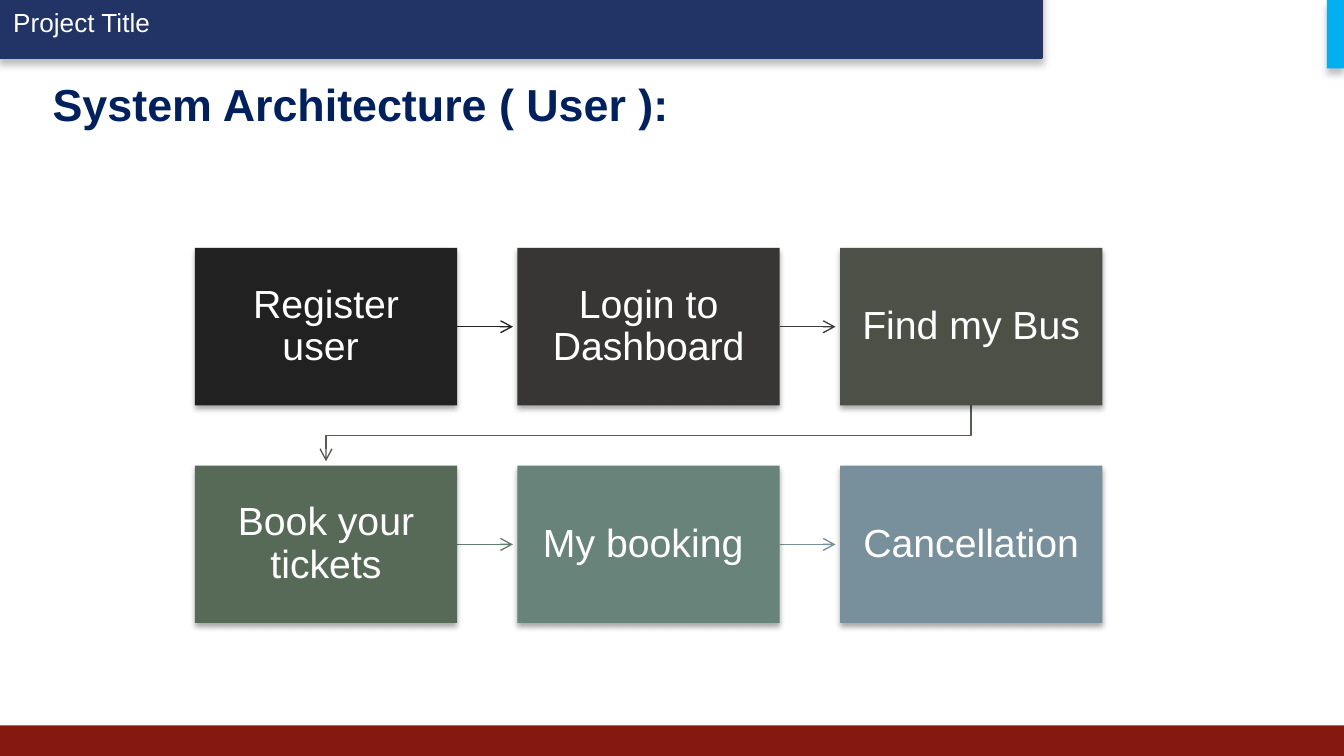
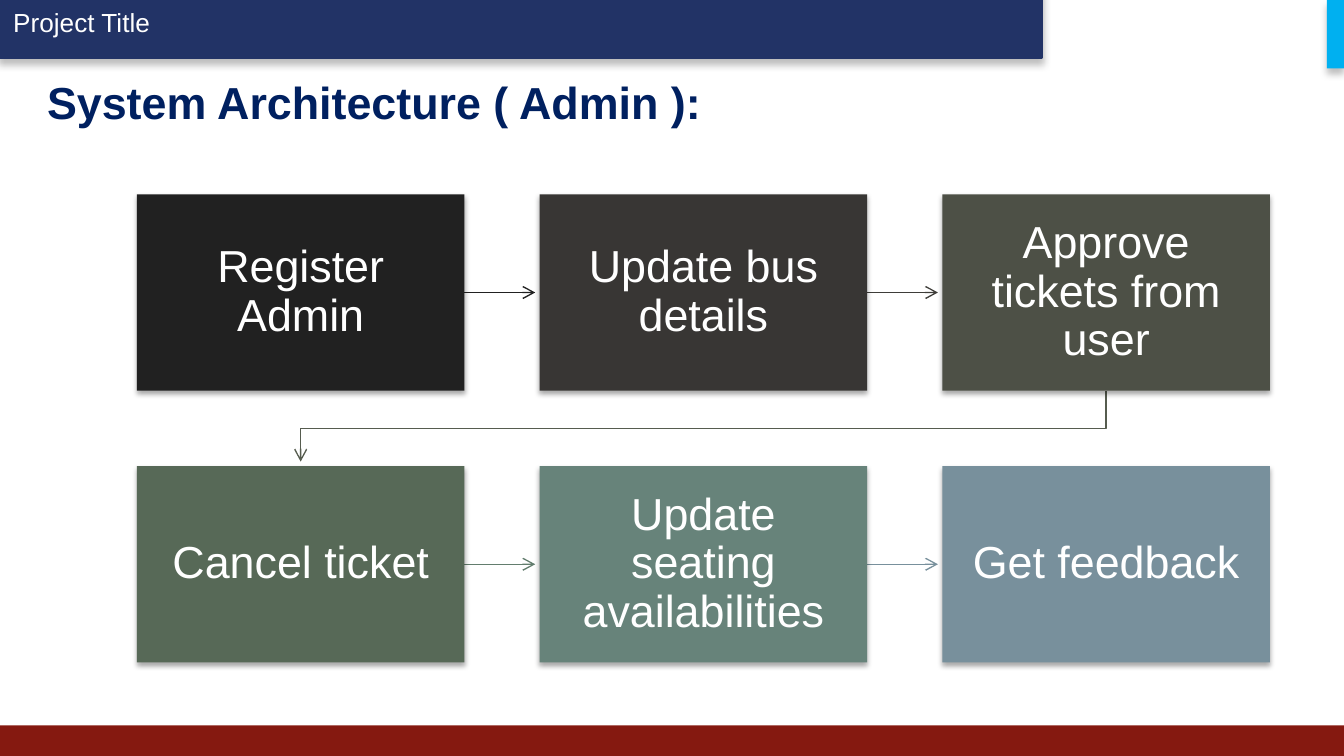
"""Build two system architecture slides, one flow for the user and one for the admin."""
from itertools import pairwise

from lxml.etree import SubElement
from pptx import Presentation
from pptx.dml.color import RGBColor
from pptx.enum.shapes import MSO_CONNECTOR, MSO_SHAPE
from pptx.enum.text import MSO_ANCHOR, MSO_AUTO_SIZE, PP_ALIGN
from pptx.oxml.ns import qn
from pptx.util import Pt

WHITE = RGBColor(0xFF, 0xFF, 0xFF)
HEADER_BLUE = RGBColor(0x22, 0x33, 0x66)
ACCENT_BLUE = RGBColor(0x00, 0xB0, 0xF0)
FOOTER_RED = RGBColor(0x85, 0x19, 0x10)
TITLE_NAVY = RGBColor(0x00, 0x20, 0x60)
STEP_FILLS = [
    RGBColor(0x21, 0x21, 0x21),
    RGBColor(0x38, 0x36, 0x34),
    RGBColor(0x4D, 0x50, 0x46),
    RGBColor(0x57, 0x69, 0x57),
    RGBColor(0x67, 0x83, 0x7A),
    RGBColor(0x78, 0x90, 0x9C),
]
ARROW_COLOURS = [
    RGBColor(0x21, 0x21, 0x21),
    RGBColor(0x3E, 0x3D, 0x39),
    RGBColor(0x56, 0x5C, 0x4F),
    RGBColor(0x63, 0x7D, 0x6E),
    RGBColor(0x78, 0x90, 0x9C),
]
FONT = "Arial"
PAGE_WIDTH, PAGE_HEIGHT = 720, 405
COLUMNS = 3
GAP_RATIO, HEIGHT_RATIO, INSET_RATIO = 0.23, 0.6, 0.08
ARROW_CLEARANCE = 2.4
BAND_SHADOW = (4, 3, 25)
STEP_SHADOW = (3.1, 1.8, 35)


def style_text(para, size, colour, bold=False, align=PP_ALIGN.LEFT):
    """Set the font and alignment of a paragraph."""
    para.alignment = align
    para.font.name = FONT
    para.font.size = Pt(size)
    para.font.bold = bold
    para.font.color.rgb = colour


def add_block(page, box, colour, shadow=None):
    """Add a plain rectangle, with a downward shadow given as blur, distance, opacity."""
    block = page.shapes.add_shape(MSO_SHAPE.RECTANGLE, *map(Pt, box))
    block.fill.solid()
    block.fill.fore_color.rgb = colour
    block.line.fill.background()
    block.shadow.inherit = False
    if shadow:
        blur, distance, opacity = shadow
        effects = block.element.spPr.find(qn("a:effectLst"))
        outer = SubElement(effects, qn("a:outerShdw"), blurRad=str(Pt(blur)),
                           dist=str(Pt(distance)), dir="5400000", rotWithShape="0")
        tint = SubElement(outer, qn("a:srgbClr"), val="000000")
        SubElement(tint, qn("a:alpha"), val=str(opacity * 1000))
    return block


def add_bands(page):
    """Draw the header, footer and corner accent shared by every slide."""
    header = add_block(page, (0, -6.5, 558, 37), HEADER_BLUE, BAND_SHADOW)
    header.line.color.rgb = HEADER_BLUE
    header.line.width = Pt(2)
    header.text_frame.text = "Project Title"
    header.text_frame.vertical_anchor = MSO_ANCHOR.MIDDLE
    style_text(header.text_frame.paragraphs[0], 14, WHITE)
    add_block(page, (0, 388.6, PAGE_WIDTH, 16.4), FOOTER_RED)
    add_block(page, (710.8, 0, 9.2, 36.7), ACCENT_BLUE, BAND_SHADOW)


def add_title(page, box, text):
    """Place the slide title in its placeholder."""
    title = page.shapes.title
    title.left, title.top, title.width, title.height = map(Pt, box)
    frame = title.text_frame
    frame.text = text
    frame.auto_size = MSO_AUTO_SIZE.NONE
    frame.vertical_anchor = MSO_ANCHOR.TOP
    frame.margin_left = frame.margin_right = 0
    frame.margin_top = frame.margin_bottom = 0
    style_text(frame.paragraphs[0], 24, TITLE_NAVY, bold=True)


def add_step(page, box, text, size, colour):
    """Add one step of the flow."""
    step = add_block(page, box, colour, STEP_SHADOW)
    frame = step.text_frame
    frame.text = text
    frame.word_wrap = True
    frame.vertical_anchor = MSO_ANCHOR.MIDDLE
    inset = Pt(box[2] * INSET_RATIO)
    frame.margin_left = frame.margin_right = inset
    frame.margin_top = frame.margin_bottom = inset
    para = frame.paragraphs[0]
    para.line_spacing = 0.9
    style_text(para, size, WHITE, align=PP_ALIGN.CENTER)


def style_arrow(arrow, colour):
    """Give a line its colour, open arrowhead and no shadow."""
    arrow.line.color.rgb = colour
    arrow.line.width = Pt(0.75)
    properties = arrow.element.spPr
    SubElement(properties.find(qn("a:ln")), qn("a:tailEnd"), type="arrow")
    SubElement(properties, qn("a:effectLst"))


def add_arrow(page, start, end, colour):
    """Link two step boxes, straight along a row or bent down to the next row."""
    left, top, width, height = start
    if start[1] == end[1]:
        middle = top + height / 2
        ends = (left + width, middle, end[0] - ARROW_CLEARANCE, middle)
        arrow = page.shapes.add_connector(MSO_CONNECTOR.STRAIGHT, *map(Pt, ends))
    else:
        start_x, end_x = left + width / 2, end[0] + end[2] / 2
        bottom = top + height
        bend = (bottom + end[1]) / 2
        corners = [(start_x, bend), (end_x, bend), (end_x, end[1] - ARROW_CLEARANCE)]
        builder = page.shapes.build_freeform(Pt(start_x), Pt(bottom))
        builder.add_line_segments([(Pt(x), Pt(y)) for x, y in corners], close=False)
        arrow = builder.convert_to_shape()
        arrow.fill.background()
    style_arrow(arrow, colour)


def add_flow(page, left, top, step_width, size, steps):
    """Lay the steps out in rows and link each one to the next."""
    gap, height = step_width * GAP_RATIO, step_width * HEIGHT_RATIO
    boxes = []
    for index in range(len(steps)):
        row, column = divmod(index, COLUMNS)
        boxes.append((left + column * (step_width + gap), top + row * (height + gap),
                      step_width, height))
    for (start, end), colour in zip(pairwise(boxes), ARROW_COLOURS):
        add_arrow(page, start, end, colour)
    for box, text, colour in zip(boxes, steps, STEP_FILLS):
        add_step(page, box, text, size, colour)


def add_flow_page(deck, title, title_box, flow):
    """Add a slide with the shared bands, a title and a flow."""
    page = deck.slides.add_slide(deck.slide_layouts[5])
    add_bands(page)
    add_title(page, title_box, title)
    add_flow(page, *flow)


def main():
    """Build and save the deck."""
    deck = Presentation()
    deck.slide_width, deck.slide_height = Pt(PAGE_WIDTH), Pt(PAGE_HEIGHT)
    add_flow_page(
        deck, "System Architecture ( User ):", (28.2, 41, 664, 70),
        (104.4, 132.9, 140.5, 21,
         ["Register user ", "Login to Dashboard", "Find my Bus",
          "Book your tickets", "My booking ", "Cancellation"]))
    add_flow_page(
        deck, "System Architecture ( Admin ):", (25.2, 40, 648, 68),
        (73.4, 104.1, 175.4, 24,
         ["Register Admin", "Update bus details", "Approve tickets from user",
          "Cancel ticket", "Update seating availabilities", "Get feedback"]))
    deck.save("out.pptx")


if __name__ == "__main__":
    main()
